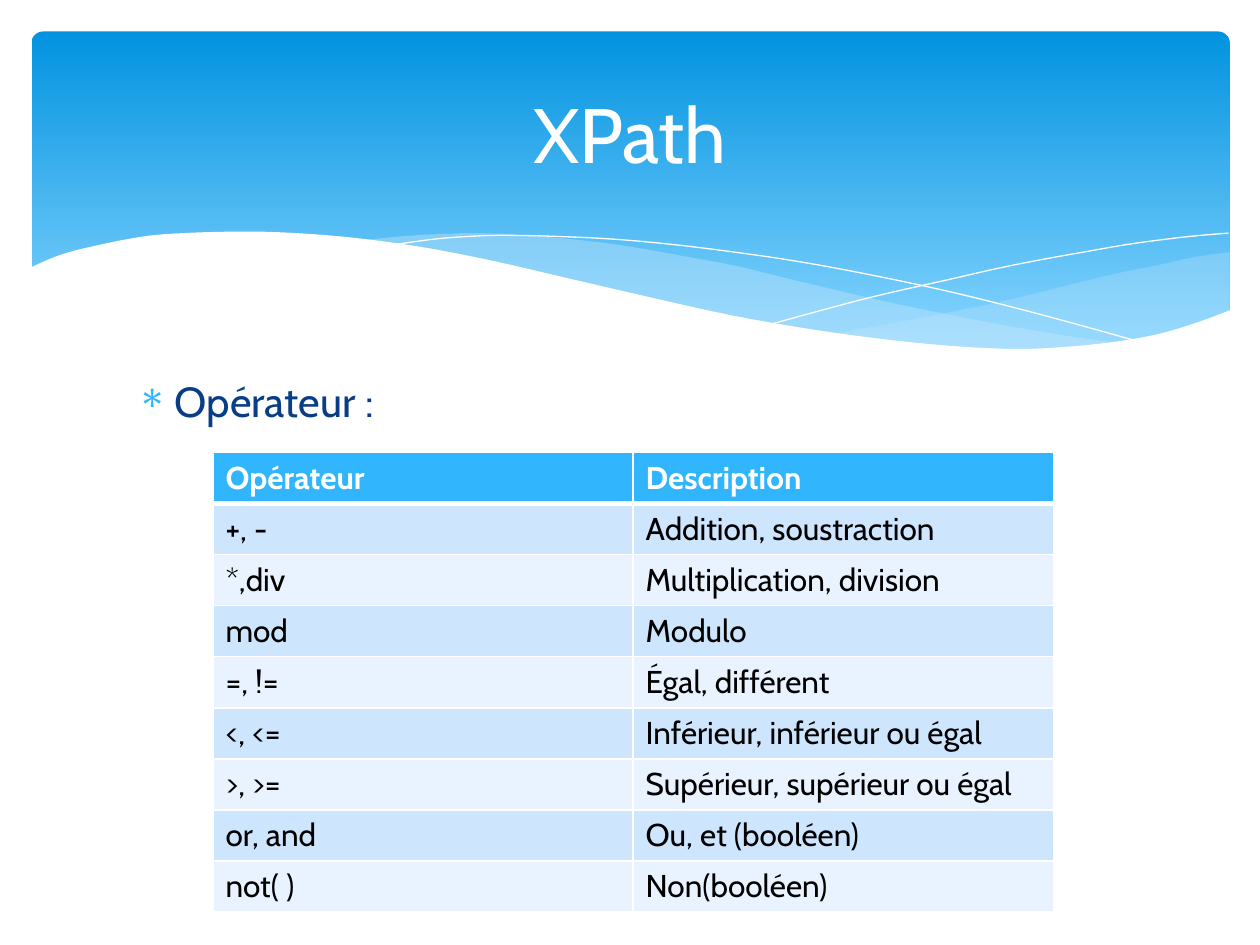
"""Build a slide that lists the XPath operators below a blue wave banner."""
import pptx
import pptx.dml.color
import pptx.enum.shapes
import pptx.enum.text
import pptx.oxml
import pptx.oxml.ns
import pptx.util

Inches = pptx.util.Inches
Pt = pptx.util.Pt

COLORS = {
    "white": "FFFFFF", "black": "000000", "navy": "073E87",
    "sky": "31B6FD", "banner_top": "0293E0", "banner_bottom": "83D3FE",
    "mist": "C6E7FC", "odd_row": "CEE5FE", "even_row": "E8F3FF",
}
FONT = "Cabin"
TITLE = "XPath"
SUBTITLE = "Opérateur :"
OPERATORS = [
    ("Opérateur", "Description"),
    ("+, -", "Addition, soustraction"),
    ("*,div", "Multiplication, division"),
    ("mod", "Modulo"),
    ("=, !=", "Égal, différent"),
    ("<, <=", "Inférieur, inférieur ou égal"),
    (">, >=", "Supérieur, supérieur ou égal"),
    ("or, and", "Ou, et (booléen)"),
    ("not( )", "Non(booléen)"),
]
TABLE_BOX = (1.69, 3.59, 6.67, 3.65)

RIGHT_WAVE = [
    [(9.76, 2), (9.48, 2.04), (9.21, 2.1), (8.91, 2.16), (8.61, 2.23),
     (8.05, 2.37), (7.53, 2.48), (7.06, 2.57), (6.61, 2.65)],
    [(6.61, 2.65), (6.91, 2.69), (7.32, 2.74), (7.69, 2.77), (8.14, 2.78),
     (8.54, 2.76), (8.89, 2.72), (9.21, 2.65), (9.49, 2.57), (9.76, 2.47)],
]
MIDDLE_WAVE = [
    [(8.93, 2.73), (8.37, 2.65), (7.75, 2.54), (7.06, 2.4), (6.29, 2.22),
     (5.84, 2.11), (5.41, 2.03), (5.02, 1.96), (4.65, 1.91), (4.2, 1.87),
     (3.8, 1.85), (3.44, 1.86), (3.13, 1.88), (2.86, 1.91)],
    [(2.86, 1.91), (3.23, 1.96), (3.62, 2.03), (4.04, 2.11), (4.49, 2.22),
     (5.3, 2.4), (6.01, 2.55), (6.5, 2.64), (6.95, 2.7), (7.36, 2.75),
     (7.73, 2.77), (8.07, 2.78), (8.38, 2.78), (8.67, 2.76), (8.93, 2.73)],
]
FALLING_LINE = [
    [(3.09, 1.95), (3.28, 1.92), (3.53, 1.89), (3.87, 1.87), (4.16, 1.87),
     (4.5, 1.88), (4.89, 1.9), (5.33, 1.94), (5.82, 2), (6.36, 2.08),
     (6.95, 2.19), (7.6, 2.33), (8.31, 2.51), (9.07, 2.72)],
]
RISING_LINE = [
    [(6.13, 2.57), (6.53, 2.46), (6.95, 2.35), (7.48, 2.23), (8.06, 2.1),
     (8.66, 1.99), (8.95, 1.94), (9.24, 1.9), (9.51, 1.87), (9.75, 1.85)],
]
WHITE_WAVE = [
    [(9.77, 2.46), (9.5, 2.56), (9.2, 2.65), (8.87, 2.71), (8.5, 2.75),
     (8.09, 2.77), (7.61, 2.75), (7.08, 2.7), (6.48, 2.62), (5.79, 2.5),
     (5.03, 2.33), (4.47, 2.2), (3.91, 2.07), (3.4, 1.97), (2.92, 1.9),
     (2.5, 1.86), (2.11, 1.84), (1.77, 1.84), (1.46, 1.85), (1.19, 1.87),
     (0.95, 1.91), (0.76, 1.95), (0.59, 1.99), (0.46, 2.03), (0.36, 2.07),
     (0.23, 2.13)],
    [(0.23, 3.29), (9.77, 3.29)],
]
WAVES = [
    {"edges": RIGHT_WAVE, "fill": "mist", "opacity": 29},
    {"edges": MIDDLE_WAVE, "fill": "mist", "opacity": 40},
    {"edges": FALLING_LINE, "line": "white"},
    {"edges": RISING_LINE, "line": "white"},
    {"edges": WHITE_WAVE, "fill": "white"},
]


def rgb(name):
    return pptx.dml.color.RGBColor.from_string(COLORS[name])


def element(tag, content):
    namespace = pptx.oxml.ns.nsdecls("a")
    return pptx.oxml.parse_xml(f"<a:{tag} {namespace} {content}")


def smooth(knots, steps=4):
    """Sample a Catmull-Rom curve through the knots."""
    padded = [knots[0], *knots, knots[-1]]
    points = [knots[0]]
    for a, b, c, d in zip(padded, padded[1:], padded[2:], padded[3:]):
        for t in (step / steps for step in range(1, steps + 1)):
            points.append(tuple(
                q + 0.5 * t * (r - p + t * (2 * p - 5 * q + 4 * r - s
                                            + t * (3 * (q - r) + s - p)))
                for p, q, r, s in zip(a, b, c, d)))
    return points


def add_banner(slide):
    banner = slide.shapes.add_shape(
        pptx.enum.shapes.MSO_SHAPE.ROUNDED_RECTANGLE,
        *map(Inches, (0.25, 0.25, 9.51, 2.7)))
    banner.adjustments[0] = 0.034
    banner.shadow.inherit = False
    banner.line.fill.background()
    banner.fill.gradient()
    banner.fill.gradient_angle = 270
    stops = ((0, "banner_top"), (0.9, "banner_bottom"))
    for stop, (position, color) in zip(banner.fill.gradient_stops, stops):
        stop.position = position
        stop.color.rgb = rgb(color)


def add_wave(slide, edges, fill=None, line=None, opacity=100):
    points = [(Inches(x), Inches(y)) for edge in edges for x, y in smooth(edge)]
    builder = slide.shapes.build_freeform(*points[0])
    builder.add_line_segments(points[1:], close=fill is not None)
    wave = builder.convert_to_shape()
    wave.shadow.inherit = False
    if line:
        wave.fill.background()
        wave.line.color.rgb = rgb(line)
        wave.line.width = Pt(0)
        return
    wave.line.fill.background()
    wave.fill.solid()
    wave.fill.fore_color.rgb = rgb(fill)
    if opacity < 100:
        color = wave.fill._xPr.find(".//" + pptx.oxml.ns.qn("a:srgbClr"))
        color.append(element("alpha", f'val="{opacity * 1000}"/>'))


def write(frame, text, size, color, bold=False):
    paragraph = frame.paragraphs[0]
    run = paragraph.add_run()
    run.text = text
    formats = {"name": FONT, "size": Pt(size), "bold": bold}
    for attribute, value in formats.items():
        setattr(run.font, attribute, value)
    run.font.color.rgb = rgb(color)
    return paragraph


def add_text(slide, box, text, size, color, anchor):
    frame = slide.shapes.add_textbox(*map(Inches, box)).text_frame
    frame.word_wrap = True
    frame.vertical_anchor = anchor
    return write(frame, text, size, color)


def add_bullet(paragraph):
    properties = paragraph._p.get_or_add_pPr()
    properties.set("marL", str(Inches(0.34)))
    properties.set("indent", str(Inches(-0.3)))
    properties.append(element(
        "buClr", f'><a:srgbClr val="{COLORS["sky"]}"/></a:buClr>'))
    properties.append(element("buFont", 'typeface="Symbol"/>'))
    properties.append(element("buChar", 'char="∗"/>'))


def add_borders(cell, top, bottom):
    properties = cell._tc.get_or_add_tcPr()
    widths = {"lnL": 1, "lnR": 1, "lnT": top, "lnB": bottom}
    for place, (side, width) in enumerate(widths.items()):
        properties.insert(place, element(
            side, f'w="{Pt(width)}"><a:solidFill><a:srgbClr '
                  f'val="{COLORS["white"]}"/></a:solidFill></a:{side}>'))


def add_operators(slide):
    table = slide.shapes.add_table(
        len(OPERATORS), len(OPERATORS[0]), *map(Inches, TABLE_BOX)).table
    for row, texts in enumerate(OPERATORS):
        header = row == 0
        fill = "sky" if header else "odd_row" if row % 2 else "even_row"
        for column, text in enumerate(texts):
            cell = table.cell(row, column)
            cell.fill.solid()
            cell.fill.fore_color.rgb = rgb(fill)
            add_borders(cell, 3 if row == 1 else 1, 3 if header else 1)
            write(cell.text_frame, text, 18,
                  "white" if header else "black", header)


def main():
    deck = pptx.Presentation()
    deck.slide_width, deck.slide_height = Inches(10), Inches(7.5)
    slide = deck.slides.add_slide(deck.slide_layouts[6])
    anchors = pptx.enum.text.MSO_ANCHOR
    add_banner(slide)
    for wave in WAVES:
        add_wave(slide, **wave)
    add_bullet(add_text(slide, (0.95, 2.93, 8.1, 3.77), SUBTITLE, 24,
                        "navy", anchors.TOP))
    title = add_text(slide, (0.5, 0.37, 9, 1.37), TITLE, 44,
                     "white", anchors.MIDDLE)
    title.alignment = pptx.enum.text.PP_ALIGN.CENTER
    add_operators(slide)
    deck.save("out.pptx")


if __name__ == "__main__":
    main()
